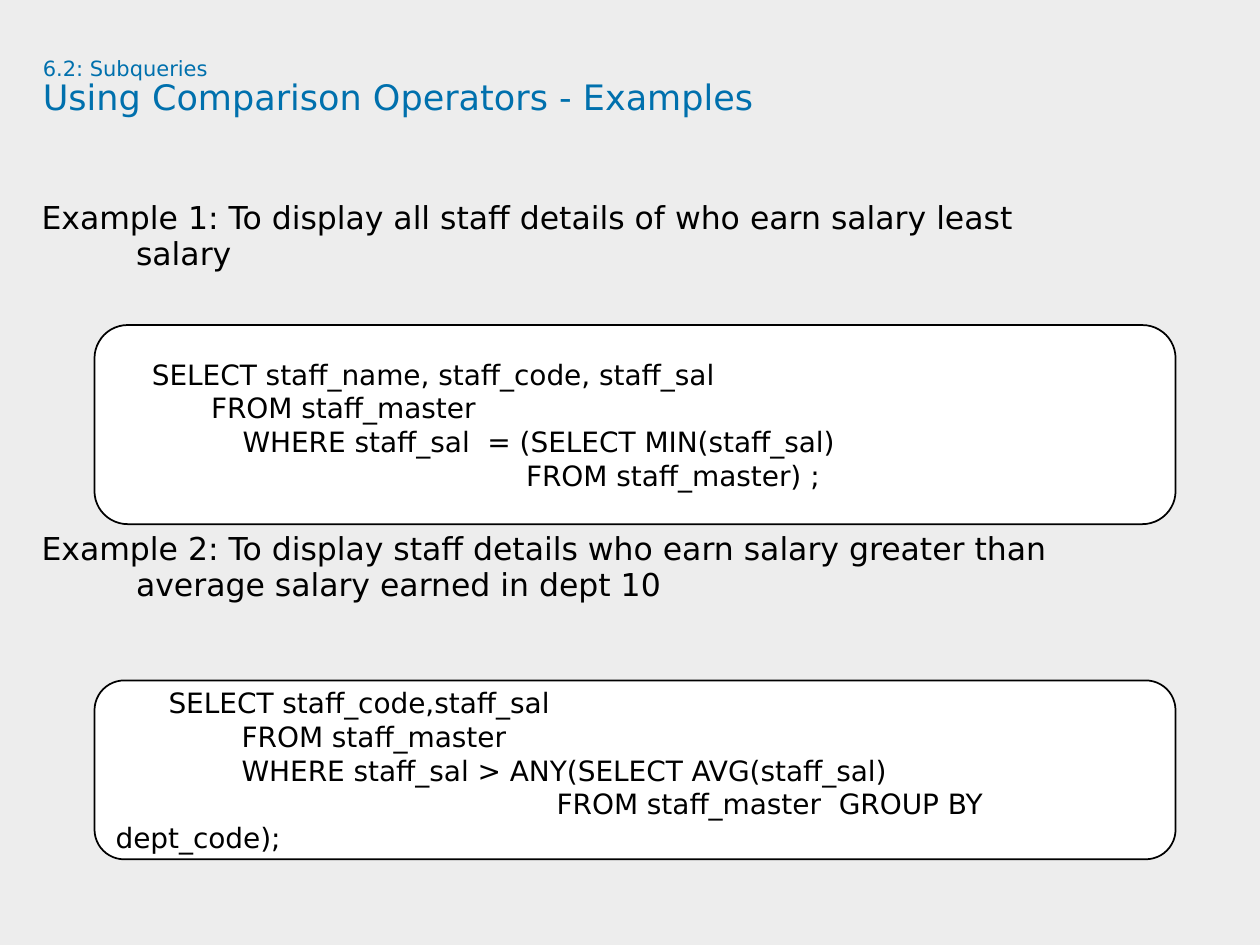
"""Build the slide on comparison operators in subqueries."""
from dataclasses import dataclass

import pptx
import pptx.dml.color
import pptx.enum.shapes
import pptx.enum.text
import pptx.oxml.ns
import pptx.util

COLS, ROWS = 100, 75
FONT = "DejaVu Sans"
INK, BLUE, PAPER, WHITE = "000000", "0070AD", "EDEDED", "FFFFFF"
LEFT = pptx.enum.text.PP_ALIGN.LEFT
TOP = pptx.enum.text.MSO_ANCHOR.TOP
MIDDLE = pptx.enum.text.MSO_ANCHOR.MIDDLE

prs = pptx.Presentation()
prs.slide_width = pptx.util.Inches(10)
prs.slide_height = pptx.util.Inches(7.5)


@dataclass(frozen=True)
class Box:
    """A rectangle in grid columns and rows."""
    col: float
    row: float
    cols: float
    rows: float


@dataclass(frozen=True)
class Line:
    """A line of text with its first-line indent in inches."""
    text: str
    indent: float = 0
    before: float = 0


@dataclass(frozen=True)
class CodePanel:
    """A rounded panel that holds a query."""
    box: Box
    lines: tuple[Line, ...]


TITLE_BOX = Box(3.4, 4.6, 90.9, 9.4)
BODY_BOX = Box(3.3, 16.4, 96.7, 50.8)
EXAMPLES = (
    Line("Example 1: To display all staff details of who earn salary least"),
    Line("salary", 0.75),
    Line("Example 2: To display staff details who earn salary greater than", before=147),
    Line("average salary earned in dept 10", 0.75),
)
PANELS = (
    CodePanel(Box(7.5, 25.8, 85.8, 15.8), (
        Line("SELECT staff_name, staff_code, staff_sal", 0.28),
        Line("FROM staff_master", 0.75),
        Line("WHERE staff_sal  = (SELECT MIN(staff_sal)", 1),
        Line("FROM staff_master) ;", 3.25),
    )),
    CodePanel(Box(7.5, 54, 85.8, 14.2), (
        Line("SELECT staff_code,staff_sal", 0.42),
        Line("FROM staff_master", 1),
        Line("WHERE staff_sal > ANY(SELECT AVG(staff_sal)", 1),
        Line("FROM staff_master  GROUP BY dept_code);", 3.5),
    )),
)


def rgb(value: str) -> pptx.dml.color.RGBColor:
    """Return the colour for a hex string."""
    return pptx.dml.color.RGBColor.from_string(value)


def apply(target: object, values: dict) -> None:
    """Set each attribute named in a dict of format values."""
    for name, value in values.items():
        setattr(target, name, value)


def place(box: Box) -> dict:
    """Turn a grid box into position and size values."""
    col, row = prs.slide_width / COLS, prs.slide_height / ROWS
    return {"left": round(box.col * col), "top": round(box.row * row),
            "width": round(box.cols * col), "height": round(box.rows * row)}


def set_frame(tf, anchor, side: float, edge: float) -> None:
    """Set wrapping, anchor and margins of a text frame."""
    side, edge = pptx.util.Inches(side), pptx.util.Inches(edge)
    apply(tf, {"word_wrap": True, "auto_size": pptx.enum.text.MSO_AUTO_SIZE.NONE,
               "vertical_anchor": anchor, "margin_left": side, "margin_right": side,
               "margin_top": edge, "margin_bottom": edge})


def set_font(font, size: float, color: str) -> None:
    """Set typeface, size and colour of a font."""
    apply(font, {"name": FONT, "size": pptx.util.Pt(size)})
    font.color.rgb = rgb(color)


def write_lines(tf, lines: tuple[Line, ...], size: float, spacing: dict) -> None:
    """Write indented, unbulleted lines into a text frame."""
    for i, line in enumerate(lines):
        p = tf.paragraphs[0] if i == 0 else tf.add_paragraph()
        apply(p, {"alignment": LEFT, "space_before": pptx.util.Pt(line.before), **spacing})
        pPr = p._p.get_or_add_pPr()
        pPr.set("marL", "0")
        pPr.set("indent", str(pptx.util.Inches(line.indent)))
        pPr.append(pPr.makeelement(pptx.oxml.ns.qn("a:buNone"), {}))
        r = p.add_run()
        r.text = line.text
        set_font(r.font, size, INK)


def draw_title(sp) -> None:
    """Write the section label and the heading."""
    apply(sp, place(TITLE_BOX))
    set_frame(sp.text_frame, TOP, 0, 0)
    p = sp.text_frame.paragraphs[0]
    apply(p, {"alignment": LEFT, "line_spacing": 0.9})
    for text, size in (("6.2: Subqueries", 12), ("Using Comparison Operators - Examples", 20)):
        if p.runs:
            p.add_line_break()
        r = p.add_run()
        r.text = text
        set_font(r.font, size, BLUE)


def draw_body(sp) -> None:
    """Write the example descriptions."""
    apply(sp, place(BODY_BOX))
    set_frame(sp.text_frame, TOP, 0, 0)
    write_lines(sp.text_frame, EXAMPLES, 18,
                {"line_spacing": pptx.util.Pt(16.5), "space_after": pptx.util.Pt(4.5)})


def draw_panel(s, panel: CodePanel) -> None:
    """Draw a query in its rounded panel."""
    sp = s.shapes.add_shape(pptx.enum.shapes.MSO_SHAPE.ROUNDED_RECTANGLE,
                            **place(panel.box))
    sp.shadow.inherit = False
    sp.fill.solid()
    sp.fill.fore_color.rgb = rgb(WHITE)
    sp.line.color.rgb = rgb(INK)
    sp.line.width = pptx.util.Pt(1)
    set_frame(sp.text_frame, MIDDLE, 0.1, 0.05)
    write_lines(sp.text_frame, panel.lines, 16, {})


def main() -> None:
    """Build and save the slide."""
    s = prs.slides.add_slide(prs.slide_layouts[1])
    s.background.fill.solid()
    s.background.fill.fore_color.rgb = rgb(PAPER)
    draw_title(s.shapes.title)
    draw_body(s.placeholders[1])
    for panel in PANELS:
        draw_panel(s, panel)
    prs.save("out.pptx")


if __name__ == "__main__":
    main()
